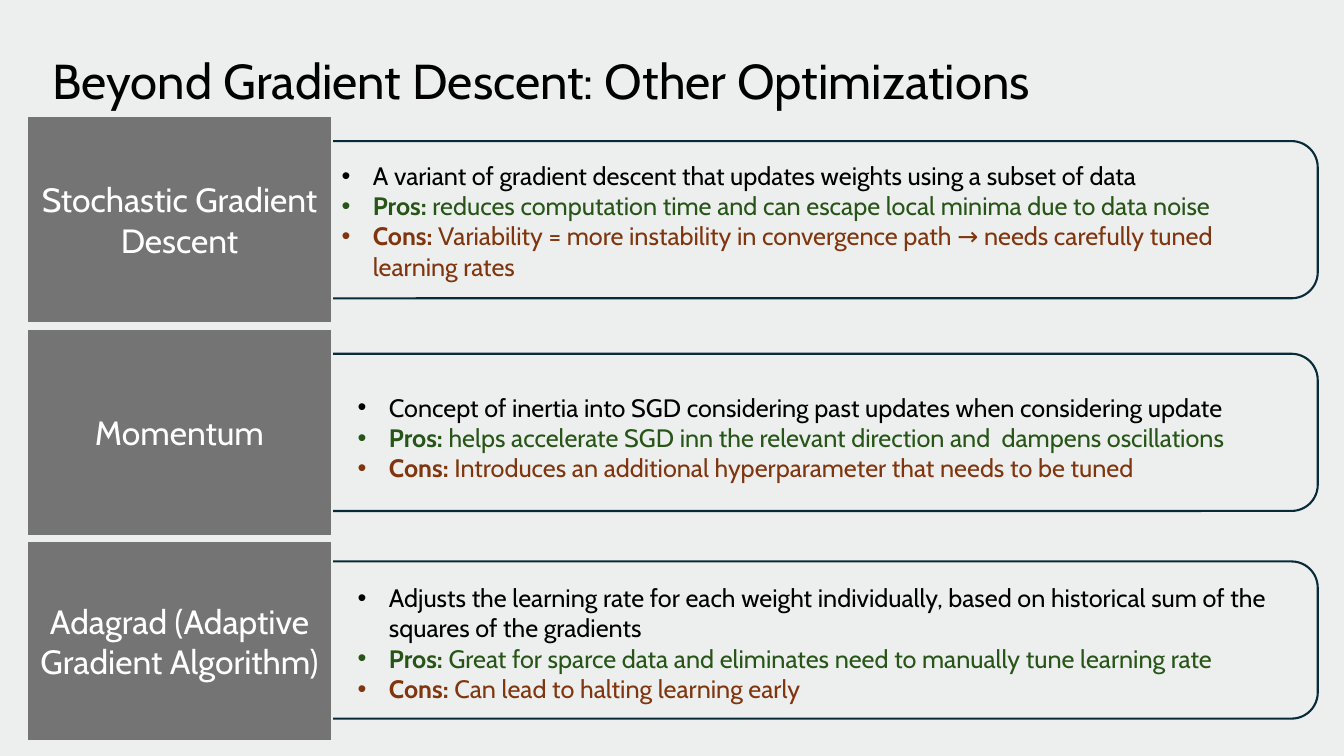
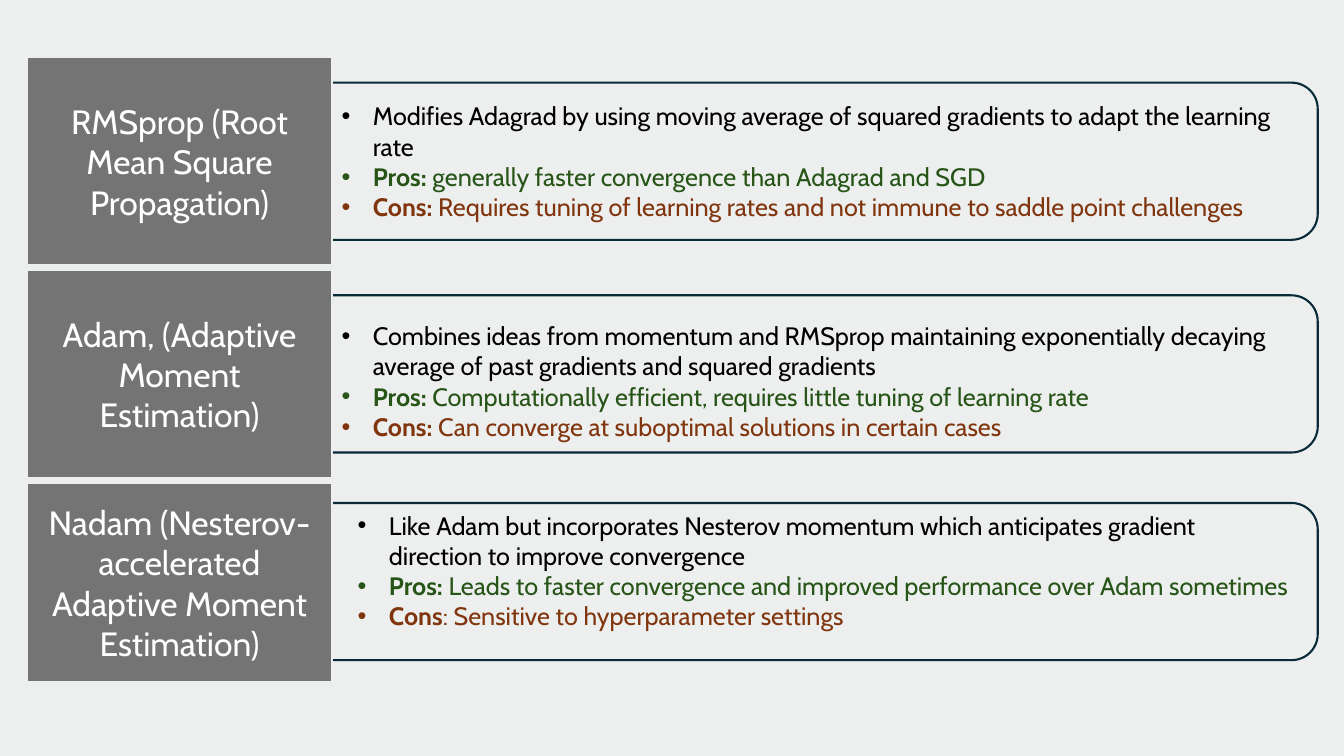
from dataclasses import dataclass

from lxml import etree
from pptx import Presentation
from pptx.dml.color import RGBColor
from pptx.enum import shapes, text
from pptx.oxml.ns import qn
from pptx.util import Inches, Pt

FONT = "Cabin"
PAPER, GREY, NAVY = "ECEFED", "747474", "092A39"
BLACK, WHITE, GREEN, BROWN = "000000", "FFFFFF", "275417", "80350E"
PITCH = 2.11
INDENT = Inches(0.31)


@dataclass
class Method:
    name: str
    about: str
    pros: str
    cons: str
    left: float
    top: float
    tag: str = "Cons: "


@dataclass
class Page:
    title: str
    top: float
    rows: list[Method]


PAGES = [
    Page("Beyond Gradient Descent: Other Optimizations", 1.15, [
        Method("Stochastic Gradient Descent",
               "A variant of gradient descent that updates weights using a subset of data",
               "reduces computation time and can escape local minima due to data noise",
               "Variability = more instability in convergence path → needs carefully tuned learning rates",
               3.29, 1.54),
        Method("Momentum",
               "Concept of inertia into SGD considering past updates when considering update",
               "helps accelerate SGD inn the relevant direction and  dampens oscillations",
               "Introduces an additional hyperparameter that needs to be tuned",
               3.45, 3.84),
        Method("Adagrad (Adaptive Gradient Algorithm)",
               "Adjusts the learning rate for each weight individually, "
               "based on historical sum of the squares of the gradients",
               "Great for sparce data and eliminates need to manually tune learning rate",
               "Can lead to halting learning early",
               3.45, 5.73),
    ]),
    Page("", 0.57, [
        Method("RMSprop (Root Mean Square Propagation)",
               "Modifies Adagrad by using moving average of squared gradients to adapt the learning rate",
               "generally faster convergence than Adagrad and SGD",
               "Requires tuning of learning rates and not immune to saddle point challenges",
               3.29, 0.95),
        Method("Adam, (Adaptive Moment Estimation)",
               "Combines ideas from momentum and RMSprop maintaining exponentially decaying "
               "average of past gradients and squared gradients",
               "Computationally efficient, requires little tuning of learning rate",
               "Can converge at suboptimal solutions in certain cases",
               3.29, 3.13),
        Method("Nadam (Nesterov-accelerated Adaptive Moment Estimation)",
               "Like Adam but incorporates Nesterov momentum which anticipates gradient "
               "direction to improve convergence",
               "Leads to faster convergence and improved performance over Adam sometimes",
               ": Sensitive to hyperparameter settings",
               3.45, 5.01, "Cons"),
    ]),
]


def paint(target, color: str) -> None:
    target.solid()
    target.fore_color.rgb = RGBColor.from_string(color)


def write(para, words: str, *, size: float = 18, color: str = BLACK, bold: bool = False) -> None:
    run = para.add_run()
    run.text = words
    run.font.name = FONT
    run.font.size = Pt(size)
    run.font.bold = bold
    run.font.color.rgb = RGBColor.from_string(color)


def block(slide, kind, left: float, top: float, width: float, height: float, line: str, fill: str = ""):
    shape = slide.shapes.add_shape(kind, Inches(left), Inches(top), Inches(width), Inches(height))
    shape.shadow.inherit = False
    if fill:
        paint(shape.fill, fill)
    else:
        shape.fill.background()
    shape.line.color.rgb = RGBColor.from_string(line)
    shape.line.width = Pt(1.5)
    return shape


def bullet(para) -> None:
    props = para._p.get_or_add_pPr()
    props.set("marL", str(INDENT))
    props.set("indent", str(-INDENT))
    etree.SubElement(props, qn("a:buFont")).set("typeface", "Arial")
    etree.SubElement(props, qn("a:buChar")).set("char", "•")


def notes(slide, row: Method) -> None:
    box = slide.shapes.add_textbox(Inches(row.left), Inches(row.top), Inches(9.46), Inches(1.31))
    frame = box.text_frame
    frame.word_wrap = True
    lines = [("", row.about, BLACK), ("Pros: ", row.pros, GREEN), (row.tag, row.cons, BROWN)]
    for index, (tag, words, color) in enumerate(lines):
        para = frame.add_paragraph() if index else frame.paragraphs[0]
        bullet(para)
        if tag:
            write(para, tag, color=color, bold=True)
        write(para, words, color=color)


def band(slide, row: Method, top: float, last: bool) -> None:
    inset, height = (0.2, 1.98) if last else (0.25, 2.06)
    block(slide, shapes.MSO_SHAPE.ROUNDED_RECTANGLE, 0.74, top + inset, 12.33, 1.56, NAVY)
    label = block(slide, shapes.MSO_SHAPE.RECTANGLE, 0.27, top, 3.02, height, PAPER, GREY)
    frame = label.text_frame
    frame.word_wrap = True
    frame.vertical_anchor = text.MSO_ANCHOR.MIDDLE
    para = frame.paragraphs[0]
    para.alignment = text.PP_ALIGN.CENTER
    write(para, row.name, size=24, color=WHITE)
    notes(slide, row)


def head(slide, words: str) -> None:
    title = slide.shapes.title
    title.left, title.top = Inches(0.42), Inches(0.45)
    title.width, title.height = Inches(12.33), Inches(0.69)
    frame = title.text_frame
    frame.auto_size = text.MSO_AUTO_SIZE.NONE
    frame.vertical_anchor = text.MSO_ANCHOR.MIDDLE
    para = frame.paragraphs[0]
    para.alignment = text.PP_ALIGN.LEFT
    write(para, words, size=35)


def main() -> None:
    deck = Presentation()
    deck.slide_width, deck.slide_height = Inches(13.33), Inches(7.5)
    paint(deck.slide_master.background.fill, PAPER)
    for page in PAGES:
        slide = deck.slides.add_slide(deck.slide_layouts[5 if page.title else 6])
        if page.title:
            head(slide, page.title)
        for index, row in enumerate(page.rows):
            band(slide, row, page.top + index * PITCH, index == len(page.rows) - 1)
    deck.save("out.pptx")


if __name__ == "__main__":
    main()
